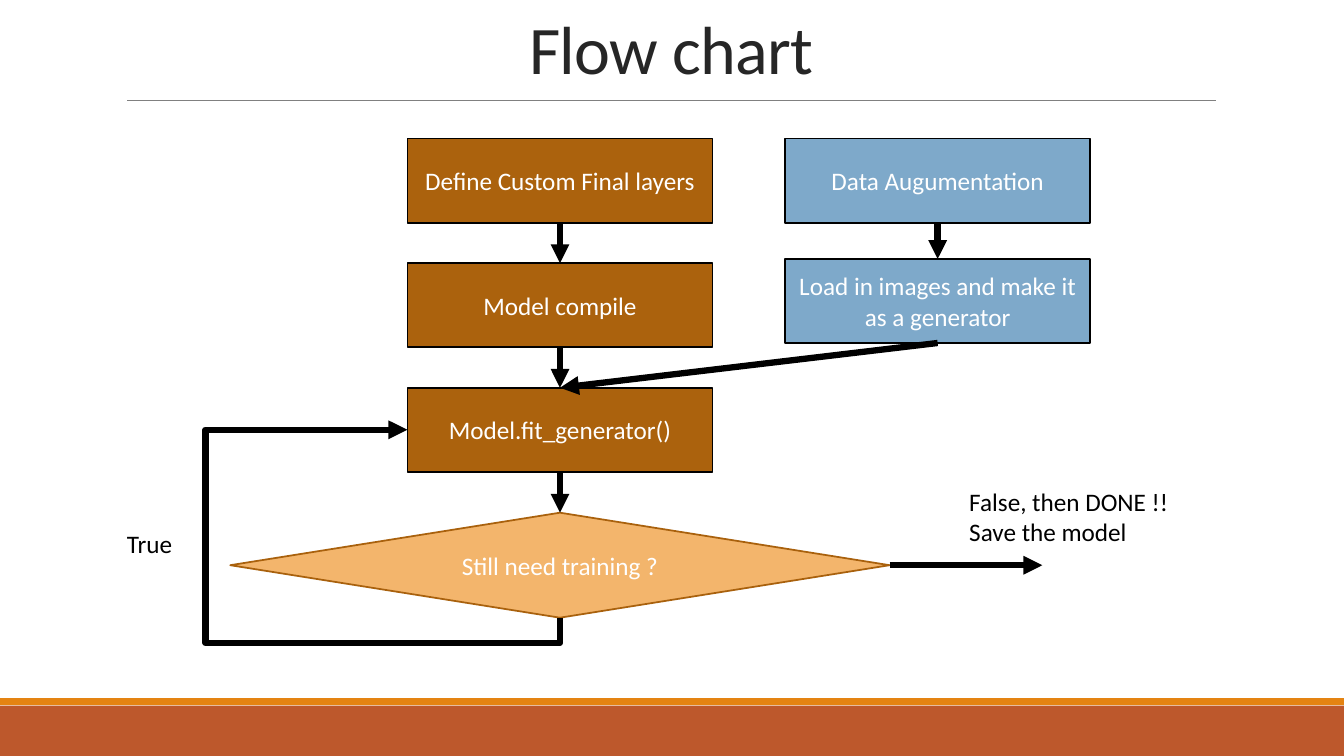
from lxml.etree import SubElement
from pptx import Presentation
from pptx.dml.color import RGBColor
from pptx.enum.shapes import MSO_CONNECTOR as LINK, MSO_SHAPE as FORM
from pptx.enum.text import MSO_ANCHOR, MSO_AUTO_SIZE, PP_ALIGN
from pptx.oxml.ns import qn
from pptx.util import Pt

TOP, LEFT, BOTTOM, RIGHT = range(4)
BROWN, BLUE, BLACK, WHITE = "AB620D", "7EA9CA", "000000", "FFFFFF"
WIDE, HIGH = 218, 60


def style(item, values):
    for name, value in values.items():
        setattr(item, name, value)


def paint(color, code):
    color.rgb = RGBColor.from_string(code)


def write(frame, text, size, code, **form):
    """Fill a text frame; form holds paragraph settings."""
    frame.text = text
    for para in frame.paragraphs:
        style(para, form)
        style(para.font, {"name": "Calibri", "size": Pt(size)})
        paint(para.font.color, code)


def add_box(slide, form, place, fill, edge=None, text=""):
    box = slide.shapes.add_shape(form, *map(Pt, place))
    box.shadow.inherit = False
    box.fill.solid()
    paint(box.fill.fore_color, fill)
    if edge:
        paint(box.line.color, edge)
        box.line.width = Pt(1.25)
    else:
        box.line.fill.background()
    if text:
        style(box.text_frame, {"word_wrap": True,
                               "vertical_anchor": MSO_ANCHOR.MIDDLE})
        write(box.text_frame, text, 18, WHITE, alignment=PP_ALIGN.CENTER)
    return box


def add_line(slide, ends, code=BLACK, width=4.5, kind=LINK.STRAIGHT):
    line = slide.shapes.add_connector(kind, *map(Pt, ends))
    paint(line.line.color, code)
    line.line.width = Pt(width)
    SubElement(line.element.spPr, qn("a:effectLst"))
    return line


def add_head(line):
    edge = line.element.spPr.find(qn("a:ln"))
    SubElement(edge, qn("a:tailEnd"), type="triangle")


def link(slide, start, end, sides=(BOTTOM, TOP), kind=LINK.STRAIGHT):
    """Join two shapes with an arrow."""
    line = add_line(slide, (0, 0, 0, 0), kind=kind)
    line.begin_connect(start, sides[0])
    line.end_connect(end, sides[1])
    add_head(line)
    return line


def add_loop(slide, start, end, drop, edge):
    """Lead an arrow below start, up along edge and into end's left side."""
    line = link(slide, start, end, (BOTTOM, LEFT), LINK.ELBOW)
    x, y = line.begin_x, line.begin_y
    run, rise = x - line.end_x, y - line.end_y
    style(line, {"left": (2 * x - run - rise) // 2,
                 "top": (2 * y - rise - run) // 2,
                 "width": rise, "height": run})
    frame = line.element.spPr.find(qn("a:xfrm"))
    style(frame, {"flipH": True, "flipV": False})
    frame.set("rot", "5400000")
    geom = line.element.spPr.find(qn("a:prstGeom"))
    geom.set("prst", "bentConnector4")
    guides = geom.find(qn("a:avLst"))
    bends = -Pt(drop) / rise, (x - Pt(edge)) / run
    for name, bend in zip(("adj1", "adj2"), bends):
        SubElement(guides, qn("a:gd"), name=name,
                   fmla=f"val {round(bend * 100000)}")


def add_note(slide, place, text):
    note = slide.shapes.add_textbox(*map(Pt, place))
    style(note.text_frame, {"word_wrap": False,
                            "auto_size": MSO_AUTO_SIZE.SHAPE_TO_FIT_TEXT})
    write(note.text_frame, text, 18, BLACK)


def add_title(slide, text):
    title = slide.shapes.title
    style(title, {"left": Pt(83.5), "top": Pt(6.5),
                  "width": Pt(792), "height": Pt(60)})
    style(title.text_frame, {"vertical_anchor": MSO_ANCHOR.BOTTOM,
                             "auto_size": MSO_AUTO_SIZE.NONE})
    write(title.text_frame, text, 48.6, "262626",
          alignment=PP_ALIGN.CENTER, line_spacing=0.85)
    for run in title.text_frame.paragraphs[0].runs:
        run.font.element.set("spc", "-50") if hasattr(
            run.font, "element") else run._r.get_or_add_rPr().set("spc", "-50")


def add_steps(slide, left, gap, fill, texts):
    """Stack linked process boxes from the top of the chart."""
    steps = [add_box(slide, FORM.FLOWCHART_PROCESS,
                     (left, 99 + row * gap, WIDE, HIGH), fill, BLACK, text)
             for row, text in enumerate(texts)]
    for start, end in zip(steps, steps[1:]):
        link(slide, start, end)
    return steps


def main():
    deck = Presentation()
    style(deck, {"slide_width": Pt(960), "slide_height": Pt(540)})
    slide = deck.slides.add_slide(deck.slide_layouts[5])

    add_box(slide, FORM.RECTANGLE, (0, 504, 960, 36), "BD582C")
    add_box(slide, FORM.RECTANGLE, (0, 498.75, 960, 5), "E48312")
    add_line(slide, (91, 71.75, 868.5, 71.75), "808080", 0.5)
    add_title(slide, "Flow chart")

    model = add_steps(slide, 291, 89, BROWN, (
        "Define Custom Final layers", "Model compile",
        "Model.fit_generator()"))
    data = add_steps(slide, 560.75, 86, BLUE, (
        "Data Augumentation", "Load in images and make it as a generator"))
    fit = model[-1]
    link(slide, data[-1], fit)

    check = add_box(slide, FORM.FLOWCHART_DECISION, (164.5, 366.25, 471, 75),
                    "F3B56C", "A9610D", "Still need training ?")
    link(slide, fit, check)
    leave = add_line(slide, (635.5, 403.75, 744.5, 403.75))
    leave.begin_connect(check, RIGHT)
    add_head(leave)
    add_loop(slide, check, fit, 18, 146.75)

    add_note(slide, (685.25, 343.5, 158.5, 51),
             "False, then DONE !!\nSave the model")
    add_note(slide, (83.5, 374, 47.5, 29), "True")
    deck.save("out.pptx")


if __name__ == "__main__":
    main()
